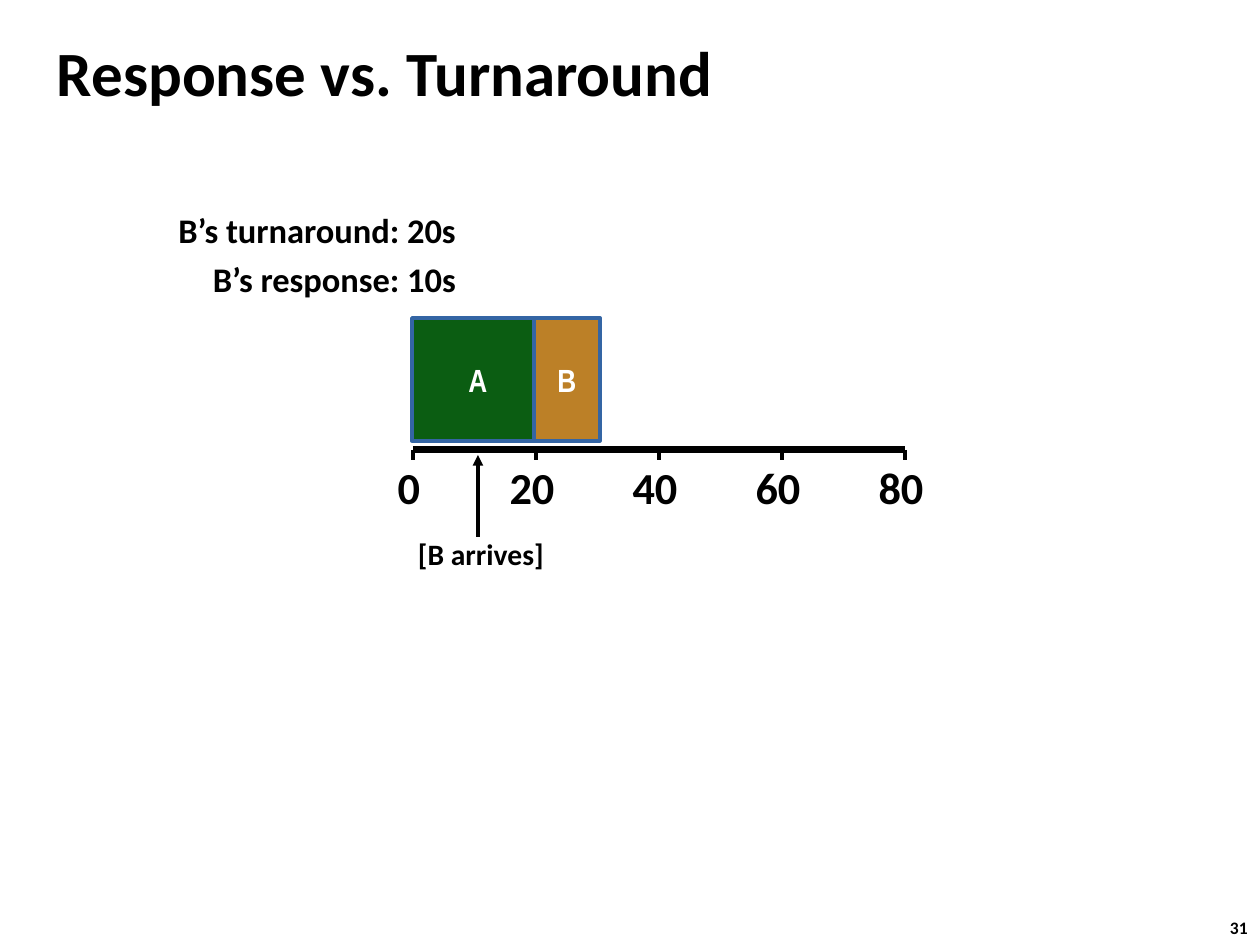
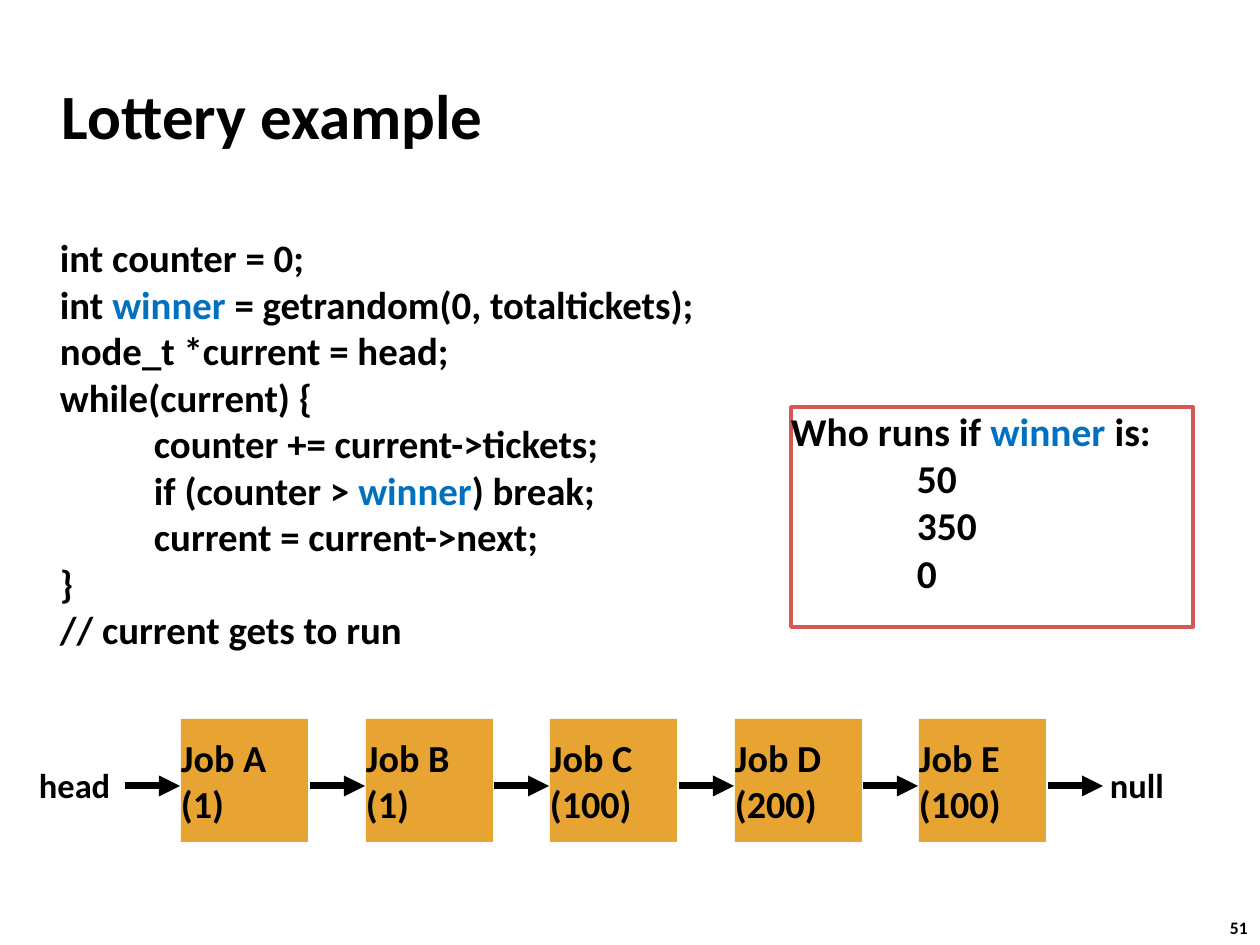
from dataclasses import dataclass, replace
from typing import NamedTuple

from lxml.etree import SubElement
from pptx import Presentation
from pptx.dml.color import RGBColor
from pptx.enum.shapes import MSO_CONNECTOR, MSO_SHAPE
from pptx.enum.text import MSO_ANCHOR as ANCHOR, PP_ALIGN as ALIGN
from pptx.oxml.ns import qn
from pptx.util import Emu, Pt

PX_PER_INCH = 126
BLACK, WHITE = "000000", "FFFFFF"
GREEN, BROWN, ORANGE = "0B5D12", "BC8027", "E8A433"
BLUE, RED, KEYWORD = "3465A4", "D45954", "0070C0"


class Box(NamedTuple):
    x: int
    y: int
    w: int
    h: int


class Line(NamedTuple):
    text: str
    indent: int = 0


class Job(NamedTuple):
    name: str
    tickets: int


@dataclass(frozen=True)
class Style:
    size: float
    font: str = "Calibri"
    color: str = BLACK
    align: ALIGN = ALIGN.LEFT
    anchor: ANCHOR = ANCHOR.MIDDLE
    inset: tuple[int, int] = (5, 5)
    wrap: bool = False


TITLE = Style(36, inset=(13, 6), wrap=True)
NUMBER = Style(10, anchor=ANCHOR.TOP, inset=(13, 6))
METRIC = Style(19.7, align=ALIGN.RIGHT)
AXIS = Style(25.3, align=ALIGN.CENTER)
EVENT = Style(16.9)
RUN_BAR = Style(18.3, "Arial Narrow", WHITE, ALIGN.CENTER, inset=(0, 0), wrap=True)
LIST_END = Style(19.7)
JOB = Style(21.8, inset=(0, 0), wrap=True)
CODE = Style(22.2, anchor=ANCHOR.TOP, inset=(13, 6), wrap=True)
QUESTION = replace(CODE, size=22.5, inset=(0, 0))

CODE_LINES = [
    Line("int counter = 0;", 47),
    Line("int winner = getrandom(0, totaltickets);", 47),
    Line("node_t *current = head;", 47),
    Line("while(current) {", 47),
    Line("counter += current->tickets;", 141),
    Line("if (counter > winner) break;", 141),
    Line("current = current->next;", 141),
    Line("}", 47),
    Line("// current gets to run", 47),
]
QUESTION_LINES = [Line("Who runs if winner is:"), Line("50", 126),
                  Line("350", 126), Line("0", 126)]
JOBS = [Job("A", 1), Job("B", 1), Job("C", 100), Job("D", 200), Job("E", 100)]


def px(n: int) -> Emu:
    return Emu(round(n * 914400 / PX_PER_INCH))


def rgb(color: str) -> RGBColor:
    return RGBColor.from_string(color)


def set_font(font, style: Style, color: str) -> None:
    font.name, font.size, font.bold = style.font, Pt(style.size), True
    font.color.rgb = rgb(color)


def set_frame(tf, style: Style) -> None:
    tf.word_wrap = style.wrap
    tf.vertical_anchor = style.anchor
    tf.margin_left = tf.margin_right = px(style.inset[0])
    tf.margin_top = tf.margin_bottom = px(style.inset[1])


def write(tf, text: str, style: Style) -> None:
    set_frame(tf, style)
    tf.text = text
    for p in tf.paragraphs:
        p.alignment = style.align
        for r in p.runs:
            set_font(r.font, style, style.color)


def write_lines(tf, lines: list[Line], style: Style) -> None:
    """Write indented lines, with the word "winner" in the keyword colour."""
    set_frame(tf, style)
    for i, line in enumerate(lines):
        p = tf.add_paragraph() if i else tf.paragraphs[0]
        p.alignment = style.align
        p.line_spacing = Pt(round(style.size * 1.2, 1))
        p._p.get_or_add_pPr().set("marL", str(px(line.indent)))
        for part in filter(None, line.text.partition("winner")):
            r = p.add_run()
            r.text = part
            set_font(r.font, style, KEYWORD if part == "winner" else style.color)


def add_text(s, box: Box, text: str, style: Style) -> None:
    write(s.shapes.add_textbox(*map(px, box)).text_frame, text, style)


def add_rect(s, box: Box, fill: str | None = None, line: str | None = None):
    sp = s.shapes.add_shape(MSO_SHAPE.RECTANGLE, *map(px, box))
    sp.shadow.inherit = False
    if fill:
        sp.fill.solid()
        sp.fill.fore_color.rgb = rgb(fill)
    else:
        sp.fill.background()
    if line:
        sp.line.color.rgb = rgb(line)
        sp.line.width = Pt(2)
    else:
        sp.line.fill.background()
    return sp


def add_line(s, x1: int, y1: int, x2: int, y2: int, width: int,
             arrow: bool = False) -> None:
    c = s.shapes.add_connector(MSO_CONNECTOR.STRAIGHT, *map(px, (x1, y1, x2, y2)))
    c.line.color.rgb = rgb(BLACK)
    c.line.width = Pt(width)
    if arrow:
        SubElement(c.line._get_or_add_ln(), qn("a:tailEnd"), type="triangle")
    SubElement(c._element.spPr, qn("a:effectLst"))


def new_slide(prs, title: str, x: int, y: int, number: int):
    s = prs.slides.add_slide(prs.slide_layouts[6])
    add_text(s, Box(1217, 911, 47, 34), str(number), NUMBER)
    add_text(s, Box(x, y, 1046, 105), title, TITLE)
    return s


def response_slide(prs) -> None:
    s = new_slide(prs, "Response vs. Turnaround", 44, 19, 31)
    add_text(s, Box(170, 204, 291, 52), "B’s turnaround: 20s", METRIC)
    add_text(s, Box(205, 253, 256, 52), "B’s response: 10s", METRIC)

    for name, x, w, fill in (("A", 412, 132, GREEN), ("B", 534, 66, BROWN)):
        bar = add_rect(s, Box(x, 318, w, 123), fill, BLUE)
        write(bar.text_frame, name, RUN_BAR)

    start, step, axis_y = 413, 123, 450
    add_line(s, start, axis_y, start + 4 * step, axis_y, 4)
    for i in range(5):
        tick = start + i * step
        add_line(s, tick, axis_y, tick, axis_y + 10, 2)
        add_text(s, Box(tick - 32, 455, 56, 63), str(20 * i), AXIS)

    add_line(s, 478, 537, 478, 455, 2, arrow=True)
    add_text(s, Box(413, 531, 137, 45), "[B arrives]", EVENT)


def lottery_slide(prs) -> None:
    s = new_slide(prs, "Lottery example", 49, 62, 51)
    code = s.shapes.add_textbox(*map(px, Box(0, 228, 722, 475)))
    write_lines(code.text_frame, CODE_LINES, CODE)
    question = add_rect(s, Box(791, 407, 402, 220), line=RED)
    write_lines(question.text_frame, QUESTION_LINES, QUESTION)

    node_xs = [181 + round(184.6 * i) for i in range(len(JOBS) + 1)]
    for job, x in zip(JOBS, node_xs):
        node = add_rect(s, Box(x, 719, 127, 123), ORANGE)
        write(node.text_frame, f"Job {job.name}\n({job.tickets})", JOB)
    for x in node_xs:
        add_line(s, x - 56, 786, x - 1, 786, 4, arrow=True)
    add_text(s, Box(34, 759, 82, 52), "head", LIST_END)
    add_text(s, Box(1105, 759, 64, 52), "null", LIST_END)


def main() -> None:
    prs = Presentation()
    prs.slide_width, prs.slide_height = px(1260), px(945)
    response_slide(prs)
    lottery_slide(prs)
    prs.save("out.pptx")


if __name__ == "__main__":
    main()
